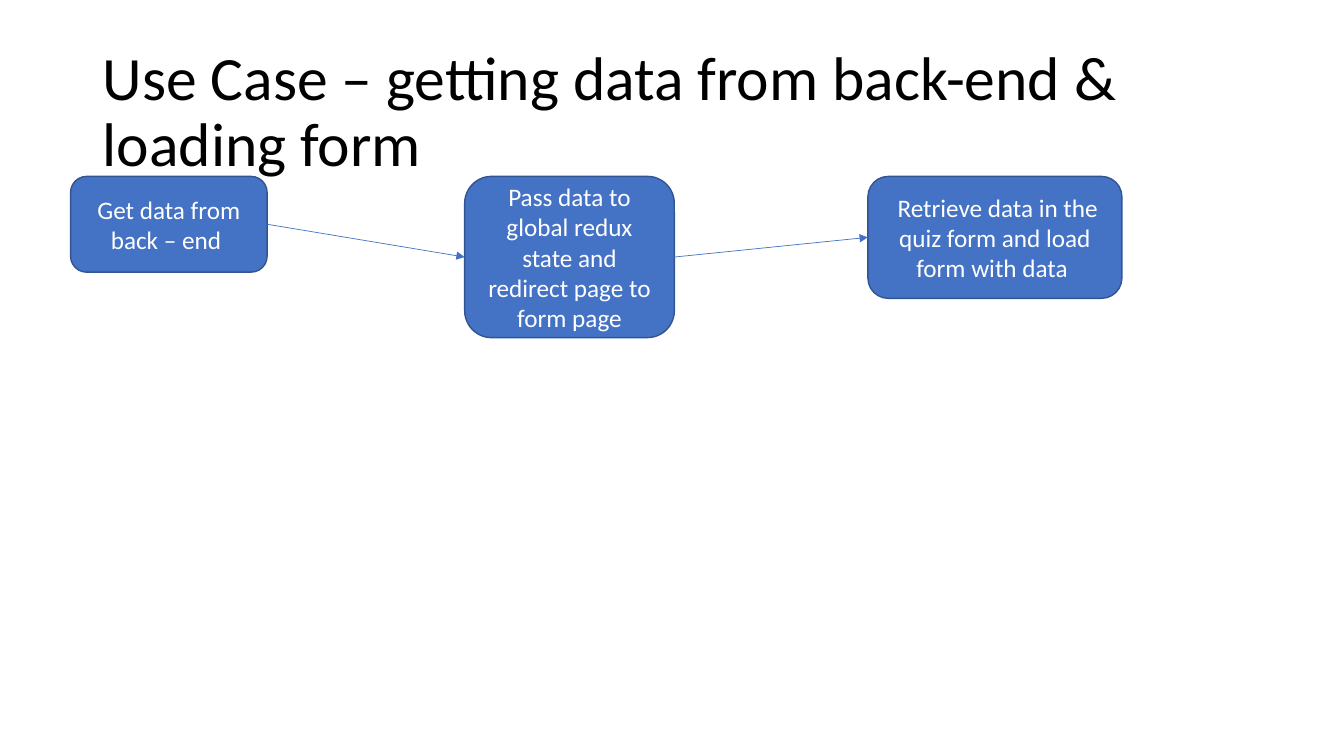
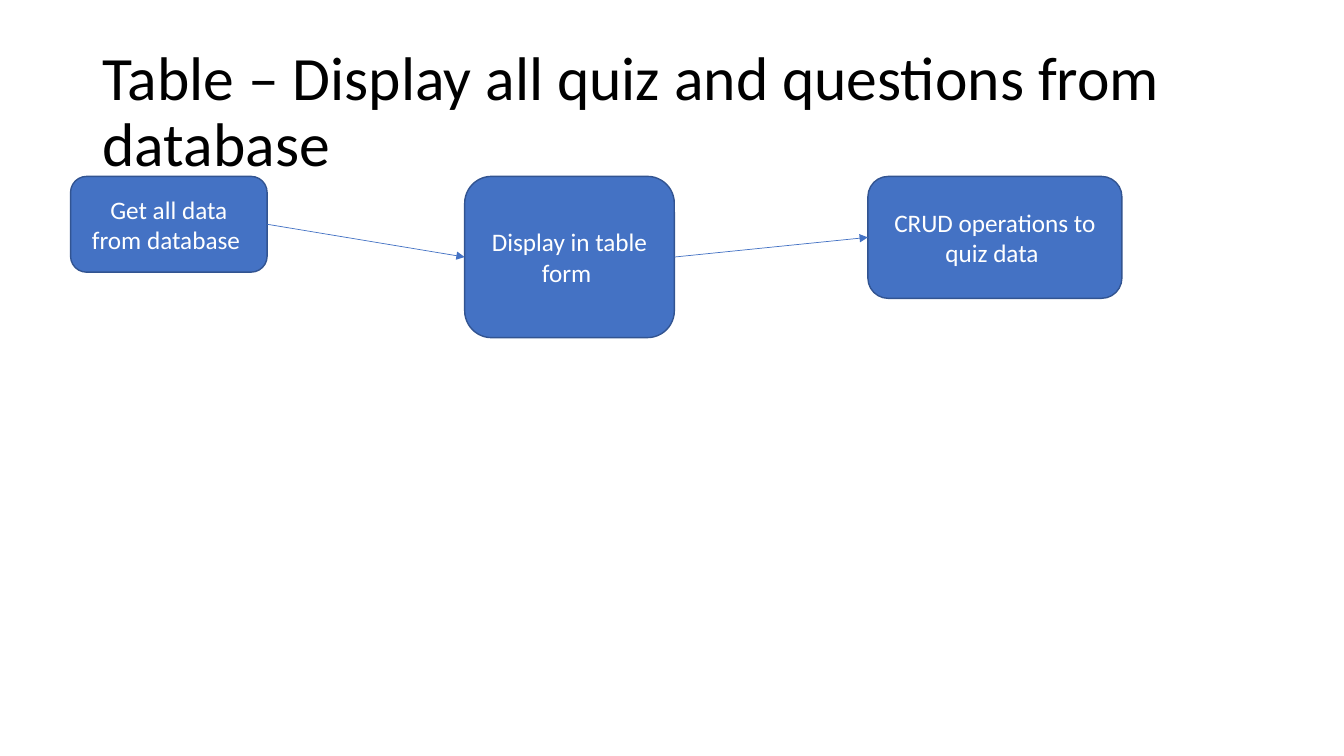
from dataclasses import dataclass
from itertools import pairwise
from typing import NamedTuple

from lxml import etree
from pptx import Presentation, util as u
from pptx.dml.color import RGBColor
from pptx.enum import shapes, text
from pptx.oxml import ns


@dataclass(frozen=True)
class Theme:
    font: str = "Calibri"
    title_size: float = 44
    step_size: float = 18
    title_color: str = "000000"
    step_text: str = "FFFFFF"
    step_fill: str = "4472C4"
    step_border: str = "325491"
    border_width: float = 1
    arrow_width: float = 0.5


class Area(NamedTuple):
    column: float
    row: float
    columns: float
    rows: float


class Flow(NamedTuple):
    title: str
    steps: tuple[str, str, str]


THEME = Theme()
COLUMNS, ROWS = 133.33, 75
CELL = u.Inches(0.1)
STEP_ROW = 17.5
TITLE_AREA = Area(9.2, 4, 115, 14.5)
STEP_AREAS = (
    Area(7, STEP_ROW, 19.5, 9.5),
    Area(46.1, STEP_ROW, 20.8, 16),
    Area(86.1, STEP_ROW, 25.2, 12.1),
)
RIGHT_SIDE, LEFT_SIDE = 3, 1

FLOWS = (
    Flow(
        "Use Case – getting data from back-end & loading form",
        (
            "Get data from back – end ",
            "Pass data to global redux state and redirect page to form page",
            " Retrieve data in the quiz form and load form with data ",
        ),
    ),
    Flow(
        "Table – Display all quiz and questions from database",
        (
            "Get all data from database ",
            "Display in table form ",
            "CRUD operations to quiz data ",
        ),
    ),
)


def place(area: Area) -> list[int]:
    return [round(length * CELL) for length in area]


def write_text(shape, content: str, *, size: float, color: str,
               align=text.PP_ALIGN.LEFT, line_spacing: float = 1.0) -> None:
    frame = shape.text_frame
    frame.word_wrap = True
    frame.vertical_anchor = text.MSO_ANCHOR.MIDDLE
    paragraph = frame.paragraphs[0]
    paragraph.alignment = align
    paragraph.line_spacing = line_spacing
    run = paragraph.add_run()
    run.text = content
    run.font.name = THEME.font
    run.font.size = u.Pt(size)
    run.font.color.rgb = RGBColor.from_string(color)


def add_title(slide, content: str) -> None:
    title = slide.shapes.add_textbox(*place(TITLE_AREA))
    write_text(title, content, size=THEME.title_size,
               color=THEME.title_color, line_spacing=0.9)


def add_step(slide, area: Area, content: str):
    step = slide.shapes.add_shape(
        shapes.MSO_SHAPE.FLOWCHART_ALTERNATE_PROCESS, *place(area))
    step.shadow.inherit = False
    step.fill.solid()
    step.fill.fore_color.rgb = RGBColor.from_string(THEME.step_fill)
    step.line.color.rgb = RGBColor.from_string(THEME.step_border)
    step.line.width = u.Pt(THEME.border_width)
    write_text(step, content, size=THEME.step_size, color=THEME.step_text,
               align=text.PP_ALIGN.CENTER)
    return step


def add_arrow(slide, source, target) -> None:
    arrow = slide.shapes.add_connector(
        shapes.MSO_CONNECTOR.STRAIGHT, 0, 0, 0, 0)
    arrow.begin_connect(source, RIGHT_SIDE)
    arrow.end_connect(target, LEFT_SIDE)
    arrow.line.color.rgb = RGBColor.from_string(THEME.step_fill)
    arrow.line.width = u.Pt(THEME.arrow_width)
    properties = arrow.element.spPr
    line = properties.find(ns.qn("a:ln"))
    etree.SubElement(line, ns.qn("a:tailEnd"), type="triangle")
    etree.SubElement(properties, ns.qn("a:effectLst"))


def add_flow(presentation, flow: Flow) -> None:
    slide = presentation.slides.add_slide(presentation.slide_layouts[6])
    add_title(slide, flow.title)
    steps = [add_step(slide, area, content)
             for area, content in zip(STEP_AREAS, flow.steps)]
    for source, target in pairwise(steps):
        add_arrow(slide, source, target)


def main() -> None:
    presentation = Presentation()
    presentation.slide_width = round(COLUMNS * CELL)
    presentation.slide_height = ROWS * CELL
    for flow in FLOWS:
        add_flow(presentation, flow)
    presentation.save("out.pptx")


if __name__ == "__main__":
    main()
